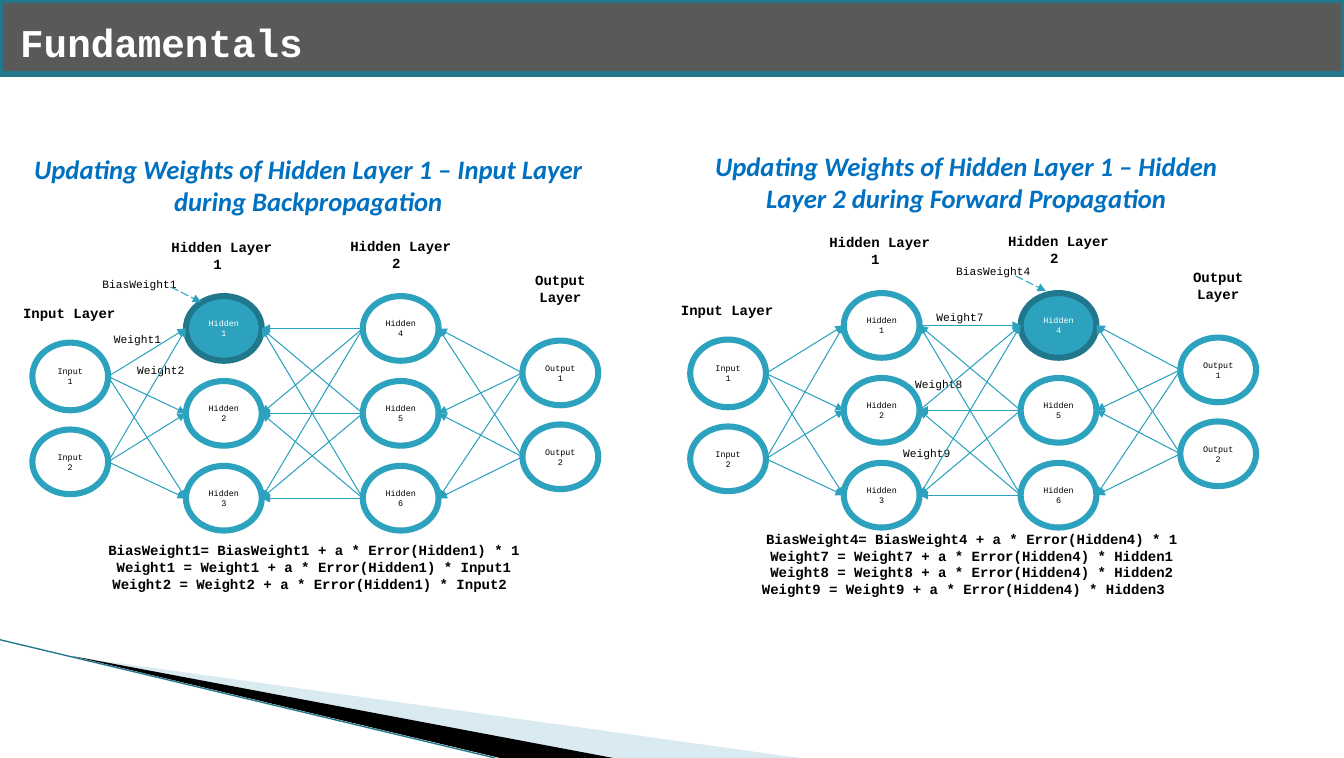
"""Draw a slide on weight updates in a small neural network."""
from dataclasses import dataclass
from itertools import product

from lxml.etree import SubElement
from pptx import Presentation
from pptx.dml.color import RGBColor
from pptx.enum.dml import MSO_LINE
from pptx.enum.shapes import MSO_CONNECTOR as Link, MSO_SHAPE as Kind
from pptx.enum.text import MSO_ANCHOR as Anchor, MSO_AUTO_SIZE as Fit, PP_ALIGN as Align
from pptx.oxml.ns import qn
from pptx.util import Inches, Pt

TEAL, DARK, WHITE, BLACK = "2DA2BF", "21788D", "FFFFFF", "000000"
MONO = "Courier New"
WIDE, HIGH = 0.75, 0.64
Point = tuple[float, float]


@dataclass
class Layer:
    names: tuple[str, ...]
    left: float
    top: float
    pitch: float
    first: float = HIGH


@dataclass
class Label:
    text: str
    left: float
    top: float
    width: float = 1.23
    size: float = 8
    bold: bool = False


@dataclass
class Panel:
    dx: float
    dy: float
    title: str
    sums: str
    focus: str
    heads: float
    notes: tuple[Label, ...]
    bias: Point


LAYERS = (
    Layer(("Input 1", "Input 2"), 0.32, 3.39, 0.86, 0.67),
    Layer(("Hidden1", "Hidden2", "Hidden3"), 1.84, 2.93, 0.84),
    Layer(("Hidden4", "Hidden5", "Hidden6"), 3.59, 2.93, 0.84),
    Layer(("Output1", "Output2"), 5.17, 3.37, 0.83),
)

PANELS = (
    Panel(0, 0, "Updating Weights of Hidden Layer 1 – Input Layer during Backpropagation",
          "BiasWeight1= BiasWeight1 + a * Error(Hidden1) * 1\n"
          "Weight1 = Weight1 + a * Error(Hidden1) * Input1\n"
          "Weight2 = Weight2 + a * Error(Hidden1) * Input2 ",
          "Hidden1", 2.35,
          (Label("Weight1 ", 0.78, 3.18), Label("BiasWeight1 ", 0.8, 2.63),
           Label("Weight2 ", 1.01, 3.49)), (1.69, 2.84)),
    Panel(6.51, -0.03,
          "Updating Weights of Hidden Layer 1 – Hidden Layer 2 during Forward Propagation",
          "BiasWeight4= BiasWeight4 + a * Error(Hidden4) * 1\n"
          "Weight7 = Weight7 + a * Error(Hidden4) * Hidden1\n"
          "Weight8 = Weight8 + a * Error(Hidden4) * Hidden2\n"
          "Weight9 = Weight9 + a * Error(Hidden4) * Hidden3  ",
          "Hidden4", 2.3,
          (Label("Weight8 ", 8.71, 3.62), Label("BiasWeight4 ", 9.25, 2.51),
           Label("Weight7 ", 8.92, 2.96), Label("Weight9 ", 8.59, 4.31)), (10.05, 2.73)),
)


def tint(code: str) -> RGBColor:
    """Turn a hex string into a colour."""
    return RGBColor.from_string(code)


def write(frame, text: str, size: float, color: str = BLACK, bold: bool = False,
          face: str = MONO, italic: bool = False, align: Align = Align.CENTER) -> None:
    """Fill a text frame and format its runs."""
    frame.text = text
    frame.word_wrap = True
    for para in frame.paragraphs:
        para.alignment = align
        for run in para.runs:
            font = run.font
            font.name, font.size, font.bold, font.italic = face, Pt(size), bold, italic
            font.color.rgb = tint(color)


def paint(shape, fill: str, edge: str = "", width: float = 4.33) -> None:
    """Set the fill and the outline of a shape."""
    shape.shadow.inherit = False
    shape.fill.solid()
    shape.fill.fore_color.rgb = tint(fill)
    if edge:
        shape.line.color.rgb = tint(edge)
        shape.line.width = Pt(width)
    else:
        shape.line.fill.background()


def block(shapes, kind: Kind, left: float, top: float, width: float, height: float):
    """Add a preset shape with its text in the middle."""
    shape = shapes.add_shape(kind, Inches(left), Inches(top), Inches(width), Inches(height))
    shape.text_frame.vertical_anchor = Anchor.MIDDLE
    return shape


def line(shapes, start: Point, end: Point, color: str = TEAL, width: float = 0.75,
         arrow: bool = True, dash: bool = False) -> None:
    """Add a straight line, with an arrowhead if asked."""
    link = shapes.add_connector(Link.STRAIGHT, *(Inches(v) for v in start + end))
    link.line.color.rgb = tint(color)
    link.line.width = Pt(width)
    if dash:
        link.line.dash_style = MSO_LINE.LONG_DASH
    props = link.element.spPr
    if arrow:
        SubElement(props.find(qn("a:ln")), qn("a:tailEnd"), type="triangle")
    SubElement(props, qn("a:effectLst"))


def wedge(shapes, points: list[Point], color: str, alpha: int = 100) -> None:
    """Add a filled outline."""
    spots = [(Inches(x), Inches(y)) for x, y in points]
    build = shapes.build_freeform(*spots[0], scale=1.0)
    build.add_line_segments(spots[1:], close=True)
    shape = build.convert_to_shape()
    paint(shape, color)
    if alpha < 100:
        hue = shape.element.spPr.find(qn("a:solidFill"))[0]
        SubElement(hue, qn("a:alpha"), val=str(alpha * 1000))


def note(shapes, item: Label, height: float = 0.35) -> None:
    """Add a white label."""
    box = block(shapes, Kind.RECTANGLE, item.left, item.top, item.width, height)
    paint(box, WHITE)
    write(box.text_frame, item.text, item.size, bold=item.bold)


def column(shapes, layer: Layer, panel: Panel) -> list[tuple[str, float, float]]:
    """Draw the nodes of a layer and return their names, left sides and middles."""
    nodes = []
    left = layer.left + panel.dx
    for i, name in enumerate(layer.names):
        top = layer.top + panel.dy + i * layer.pitch
        high = HIGH if i else layer.first
        hot = name == panel.focus
        node = block(shapes, Kind.OVAL, left, top, WIDE, high)
        paint(node, TEAL if hot else WHITE, DARK if hot else TEAL)
        write(node.text_frame, name, 6, WHITE if hot else BLACK)
        nodes.append((name, left, top + high / 2))
    return nodes


def draw(shapes, panel: Panel) -> None:
    """Draw one network with its title, labels and sums."""
    dx, dy = panel.dx, panel.dy
    for item in panel.notes:
        note(shapes, item)
    note(shapes, Label(panel.sums, 0.21 + dx, 5.29 + dy, 5.79, 10, True), HIGH)
    for text, left, top, width in (
            ("Input Layer", 0.07, 2.92 + dy, 1.23), ("Hidden Layer 1 ", 1.58, panel.heads, 1.23),
            ("Hidden Layer 2 ", 3.35, panel.heads - 0.01, 1.23),
            ("Output Layer", 5, 2.68 + dy, 1.09)):
        note(shapes, Label(text, left + dx, top, width, 10, True))
    box = shapes.add_textbox(Inches(0.18 + dx), Inches(1.44 + dy), Inches(5.74), Inches(0.77))
    frame = box.text_frame
    frame.margin_left = frame.margin_right = Inches(0.13)
    frame.margin_top = frame.margin_bottom = Inches(0.07)
    write(frame, panel.title, 19, "0070C0", True, "Calibri", True)
    frame.auto_size = Fit.SHAPE_TO_FIT_TEXT
    cols = [column(shapes, layer, panel) for layer in LAYERS]
    for i, (near, far) in enumerate(zip(cols, cols[1:])):
        for (_, x, y), (name, left, mid) in product(near, far):
            ends = (x + WIDE, y), (left, mid)
            ahead = i == 0 or name == panel.focus
            line(shapes, *(ends if ahead else ends[::-1]))
    x, y = panel.bias
    line(shapes, panel.bias, (x + 0.3, y + 0.15), dash=True)


def main() -> None:
    """Build and save the slide."""
    deck = Presentation()
    deck.slide_width, deck.slide_height = Inches(13.3), Inches(7.5)
    slide = deck.slides.add_slide(deck.slide_layouts[5])
    shapes = slide.shapes
    wedge(shapes, [(0.73, 6.5), (7.91, 7.5), (6.06, 7.5)], "A0CBDC", 40)
    wedge(shapes, [(0.71, 6.49), (6.07, 7.5), (4.95, 7.5)], BLACK)
    line(shapes, (0, 6.33), (4.9, 7.5), DARK, 0.95, arrow=False)
    paint(block(shapes, Kind.RECTANGLE, 0, 0, 13.3, 0.73), "595959", DARK)
    title = shapes.title
    title.left, title.top = Inches(0.1), Inches(0.13)
    title.width, title.height = Inches(11.82), Inches(0.7)
    write(title.text_frame, "Fundamentals", 28, WHITE, True, align=Align.LEFT)
    title.text_frame.vertical_anchor = Anchor.TOP
    title.text_frame.auto_size = Fit.NONE
    title.element.getparent().append(title.element)
    for panel in PANELS:
        draw(shapes, panel)
    deck.save("out.pptx")


if __name__ == "__main__":
    main()
